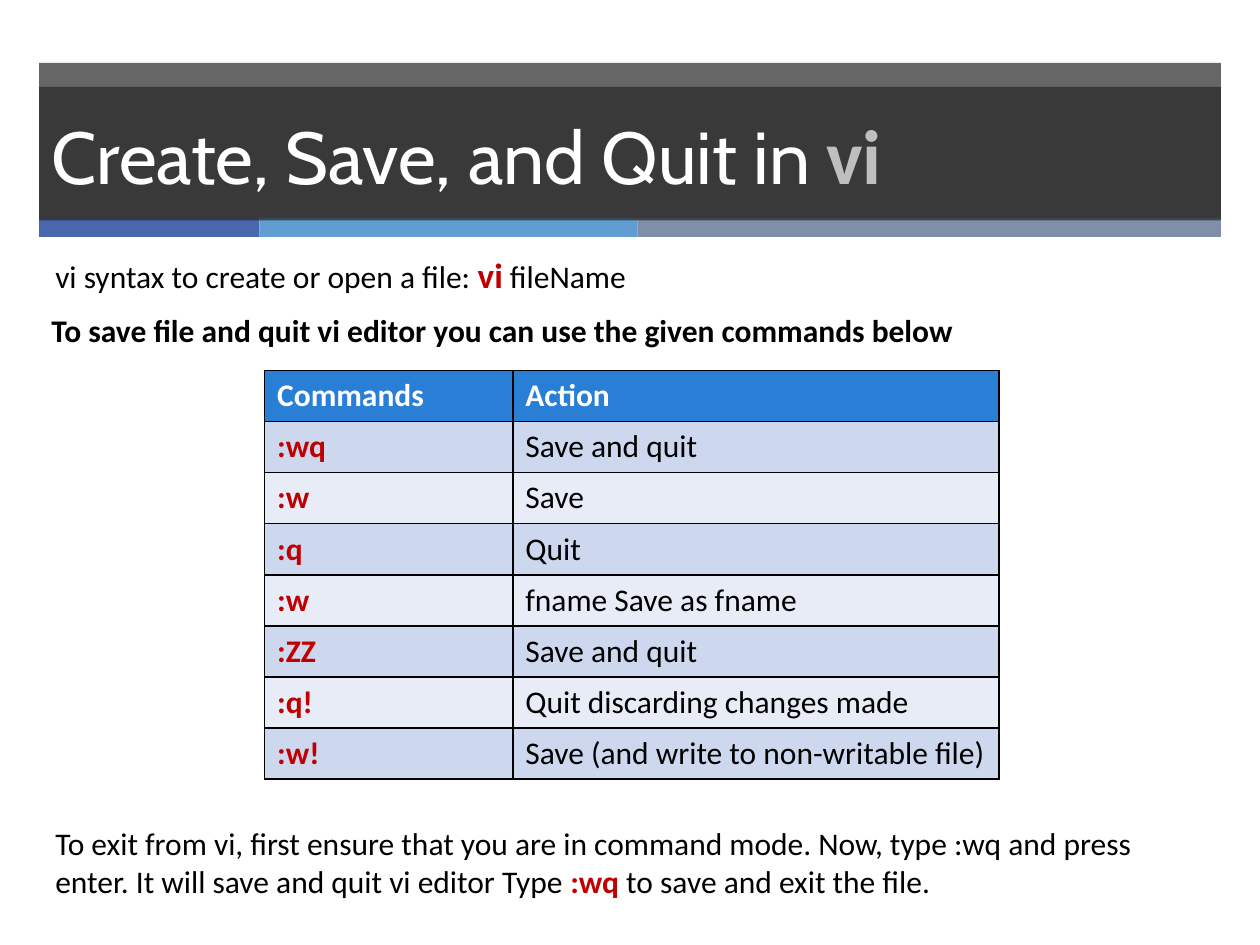
"""Build a slide on creating, saving and quitting files in vi."""
from lxml import etree
from pptx import Presentation
from pptx.dml.color import RGBColor
from pptx.enum import shapes, text
from pptx.oxml import ns
from pptx.util import Inches, Pt

WHITE = RGBColor(0xFF, 0xFF, 0xFF)
BLACK = RGBColor(0, 0, 0)
DARK = RGBColor(0x26, 0x26, 0x26)
GREY = RGBColor(0xBF, 0xBF, 0xBF)
RED = RGBColor(0xC0, 0, 0)
HEAD = RGBColor(0x29, 0x7F, 0xD5)
BANDS = [RGBColor(0xE8, 0xEC, 0xF7), RGBColor(0xCD, 0xD8, 0xEF)]
BLUE = RGBColor(0x4A, 0x66, 0xAC)
SKY = RGBColor(0x62, 0x9D, 0xD1)
SLATE = RGBColor(0x7F, 0x8F, 0xA9)


def write(para, words, size=18, color=BLACK, bold=False, face="Calibri"):
    run = para.add_run()
    run.text = words
    font = run.font
    font.size, font.bold, font.name = Pt(size), bold, face
    font.color.rgb = color


def shade(shape, color, alpha=100):
    shape.fill.solid()
    shape.fill.fore_color.rgb = color
    shape.line.fill.background()
    if alpha < 100:
        tone = shape.element.spPr.find(ns.qn("a:solidFill"))[0]
        etree.SubElement(tone, ns.qn("a:alpha")).set("val", str(alpha * 1000))


deck = Presentation()
deck.slide_width, deck.slide_height = Inches(10), Inches(7.5)
slide = deck.slides.add_slide(deck.slide_layouts[5])

bars = [
    (0.31, 0.5, 9.38, 1.24, DARK, 70),
    (0.31, 1.73, 1.75, 0.15, BLUE, 100),
    (2.06, 1.73, 3, 0.15, SKY, 100),
    (5.06, 1.73, 4.63, 0.15, SLATE, 100),
]
for *place, color, alpha in bars:
    bar = slide.shapes.add_shape(shapes.MSO_SHAPE.RECTANGLE, *map(Inches, place))
    bar.shadow.inherit = False
    shade(bar, color, alpha)

title = slide.shapes.title
slide.shapes.element.append(title.element)
title.left, title.top = Inches(0.31), Inches(0.69)
title.width, title.height = Inches(9.38), Inches(1.06)
shade(title, DARK, 70)
frame = title.text_frame
frame.auto_size = text.MSO_AUTO_SIZE.NONE
frame.vertical_anchor = text.MSO_ANCHOR.MIDDLE
para = frame.paragraphs[0]
para.alignment = text.PP_ALIGN.LEFT
write(para, "Create, Save, and Quit in ", size=42, color=WHITE, face="Cabin")
write(para, "vi", size=44, color=GREY, bold=True)

rows = [
    ("Commands", "Action"),
    (":wq", "Save and quit"),
    (":w", "Save"),
    (":q", "Quit"),
    (":w", "fname Save as fname"),
    (":ZZ", "Save and quit"),
    (":q!", "Quit discarding changes made"),
    (":w!", "Save (and write to non-writable file)"),
]
grid = slide.shapes.add_table(
    len(rows), 2, Inches(2.1), Inches(2.94), Inches(5.83), Inches(3.24)
).table
for col, width in zip(grid.columns, (1.97, 3.86)):
    col.width = Inches(width)
for i, row in enumerate(rows):
    for j, words in enumerate(row):
        cell = grid.cell(i, j)
        ink = WHITE if i == 0 else BLACK if j else RED
        write(cell.text_frame.paragraphs[0], words, color=ink, bold=i == 0 or j == 0)
        props = cell._tc.get_or_add_tcPr()
        for side in ("a:lnL", "a:lnR", "a:lnT", "a:lnB"):
            edge = etree.SubElement(props, ns.qn(side), w=str(Pt(1)))
            paint = etree.SubElement(edge, ns.qn("a:solidFill"))
            etree.SubElement(paint, ns.qn("a:srgbClr"), val=str(BLACK))
        cell.fill.solid()
        cell.fill.fore_color.rgb = BANDS[i % 2] if i else HEAD

red = {"color": RED, "bold": True}
notes = [
    ((0.34, 6.49, 9.35, 0.71), True, [
        ("To exit from vi, first ensure that you are in command mode. Now, type :wq "
         "and press enter. It will save and quit vi editor Type ", {}),
        (":wq", red),
        (" to save and exit the file.", {}),
    ]),
    ((0.34, 1.96, 4.79, 0.44), False, [
        ("vi syntax to create or open a file: ", {}),
        ("vi", {"size": 20, **red}),
        (" fileName", {}),
    ]),
    ((0.31, 2.42, 7.42, 0.4), False, [
        ("To save file and quit vi editor you can use the given commands below",
         {"bold": True}),
    ]),
]
for place, wrap, runs in notes:
    frame = slide.shapes.add_textbox(*map(Inches, place)).text_frame
    frame.word_wrap = wrap
    frame.auto_size = text.MSO_AUTO_SIZE.SHAPE_TO_FIT_TEXT
    for words, form in runs:
        write(frame.paragraphs[0], words, **form)

deck.save("out.pptx")
